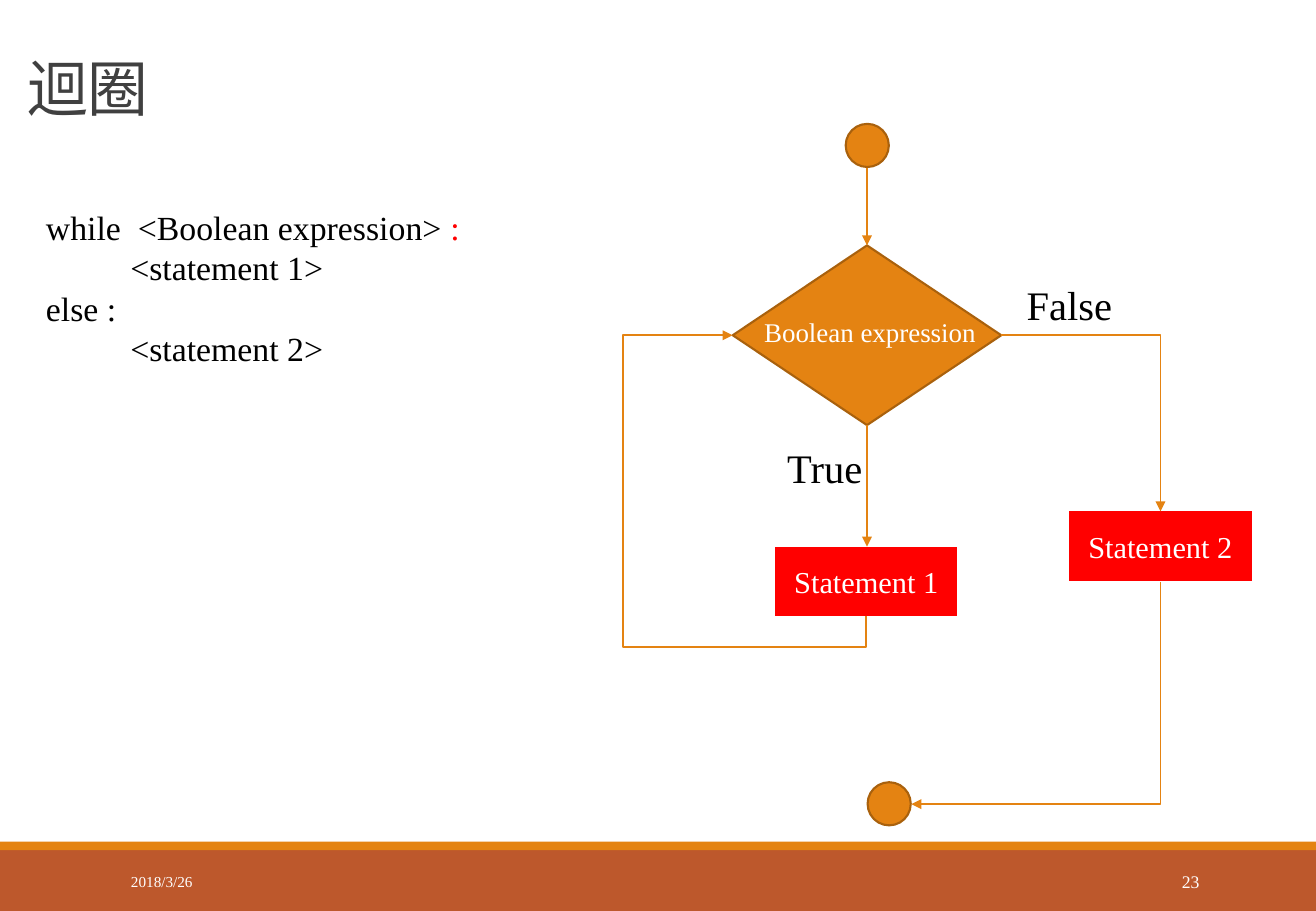
from lxml import etree
from pptx import Presentation
from pptx import util as u
from pptx.dml.color import RGBColor
from pptx.enum import shapes, text
from pptx.oxml.ns import qn

CELL = u.Inches(0.1)
COLUMNS, ROWS = 108.3, 75
FONT = "Times New Roman"
ORANGE = RGBColor(0xE4, 0x83, 0x12)
BROWN = RGBColor(0xA9, 0x61, 0x0D)
RUST = RGBColor(0xBD, 0x58, 0x2C)
RED = RGBColor(0xFF, 0, 0)
WHITE = RGBColor(0xFF, 0xFF, 0xFF)
BLACK = RGBColor(0, 0, 0)
GRAY = RGBColor(0x40, 0x40, 0x40)

SHAPE = shapes.MSO_SHAPE
ALIGN = text.PP_ALIGN
ANCHOR = text.MSO_ANCHOR


def cells(*counts):
    return [u.Emu(round(count * CELL)) for count in counts]


def write(paragraph, words, size=18, color=BLACK, align=ALIGN.LEFT, indent=0):
    paragraph.alignment = align
    if indent:
        properties = paragraph._p.get_or_add_pPr()
        properties.set("marL", str(cells(indent)[0]))
        properties.set("indent", "0")
    run = paragraph.add_run()
    run.text = words
    run.font.name = FONT
    run.font.size = u.Pt(size)
    run.font.color.rgb = color
    return run


def add_label(slide, box, words, anchor=ANCHOR.TOP, wrap=False, **style):
    label = slide.shapes.add_textbox(*cells(*box))
    frame = label.text_frame
    frame.word_wrap = wrap
    frame.vertical_anchor = anchor
    write(frame.paragraphs[0], words, **style)
    return frame


def add_block(slide, kind, box, fill, outline=None, words=None):
    shape = slide.shapes.add_shape(kind, *cells(*box))
    shape.shadow.inherit = False
    shape.fill.solid()
    shape.fill.fore_color.rgb = fill
    if outline is None:
        shape.line.fill.background()
    else:
        shape.line.color.rgb = outline
        shape.line.width = u.Pt(1.25)
    if words:
        shape.text_frame.vertical_anchor = ANCHOR.MIDDLE
        write(shape.text_frame.paragraphs[0], words, color=WHITE, align=ALIGN.CENTER)


def add_arrow(slide, box, preset="line", rotation=0, flip=False, bends=()):
    left, top, width, height = box
    kind = shapes.MSO_CONNECTOR.STRAIGHT if preset == "line" else shapes.MSO_CONNECTOR.ELBOW
    arrow = slide.shapes.add_connector(kind, *cells(left, top, left + width, top + height))
    arrow.line.color.rgb = ORANGE
    arrow.line.width = u.Pt(1)
    properties = arrow._element.spPr
    transform = properties.find(qn("a:xfrm"))
    if rotation:
        transform.set("rot", str(rotation * 60000))
    if flip:
        transform.set("flipH", "1")
    geometry = properties.find(qn("a:prstGeom"))
    geometry.set("prst", preset)
    for number, bend in enumerate(bends, 1):
        guide = etree.SubElement(geometry.find(qn("a:avLst")), qn("a:gd"))
        guide.set("name", f"adj{number}")
        guide.set("fmla", f"val {round(bend * 100000)}")
    etree.SubElement(properties.find(qn("a:ln")), qn("a:tailEnd")).set("type", "triangle")
    etree.SubElement(properties, qn("a:effectLst"))


def add_title(slide, words):
    title = slide.shapes.title
    title.left, title.top, title.width, title.height = cells(1.3, 0.6, 89.4, 10.1)
    title.text_frame.vertical_anchor = ANCHOR.BOTTOM
    paragraph = title.text_frame.paragraphs[0]
    paragraph.line_spacing = 0.85
    run = write(paragraph, words, size=36, color=GRAY)
    run._r.get_or_add_rPr().set("spc", "-50")


def add_footer(slide):
    add_block(slide, SHAPE.RECTANGLE, (0, 70, COLUMNS, 5), RUST)
    add_block(slide, SHAPE.RECTANGLE, (0, 69.3, COLUMNS, 0.7), ORANGE)
    footer = dict(anchor=ANCHOR.MIDDLE, wrap=True, color=WHITE)
    add_label(slide, (9.8, 70.6, 22, 4), "2018/3/26", size=9, **footer)
    add_label(slide, (88, 70.6, 11.7, 4), "23", size=10.5, align=ALIGN.RIGHT, **footer)


def add_code(slide):
    frame = add_label(slide, (2.8, 16.5, 36.3, 14.5), "while  <Boolean expression> ", size=20)
    write(frame.paragraphs[0], ":", size=20, color=RED)
    for words, indent in (("<statement 1>", 6.94), ("else :", 0), ("<statement 2>", 6.94)):
        write(frame.add_paragraph(), words, size=20, indent=indent)


def add_flowchart(slide):
    for left, top in ((69.6, 10.2), (71.4, 64.4)):
        add_block(slide, SHAPE.OVAL, (left, top, 3.55, 3.55), ORANGE, BROWN)
    add_block(slide, SHAPE.FLOWCHART_DECISION, (60.3, 20.2, 22.1, 14.8), ORANGE, BROWN)
    add_label(slide, (61.9, 25.5, 21.6, 3.7), "Boolean expression", wrap=True, size=16, color=WHITE)
    for left, top, words in ((63.8, 45, "Statement 1"), (88, 42.1, "Statement 2")):
        add_block(slide, SHAPE.FLOWCHART_PROCESS, (left, top, 15, 5.75), RED, words=words)
    add_label(slide, (63.8, 36, 8.2, 5), "True", size=24)
    add_label(slide, (83.5, 22.6, 9.1, 5), "False", size=24)

    for top, length in ((13.8, 6.4), (35, 10)):
        add_arrow(slide, (71.35, top, 0, length))
    add_arrow(slide, (82.4, 27.6, 13.1, 14.5), "bentConnector2")
    add_arrow(slide, (76.1, 46.8, 18.3, 20.5), "bentConnector2", rotation=90)
    add_arrow(slide, (54.25, 33.65, 23.1, 11), "bentConnector4", rotation=90,
              flip=True, bends=(-0.11, 1.82))


def main():
    presentation = Presentation()
    presentation.slide_width, presentation.slide_height = cells(COLUMNS, ROWS)
    slide = presentation.slides.add_slide(presentation.slide_layouts[5])
    add_footer(slide)
    add_title(slide, "迴圈")
    add_flowchart(slide)
    add_code(slide)
    presentation.save("out.pptx")


main()
